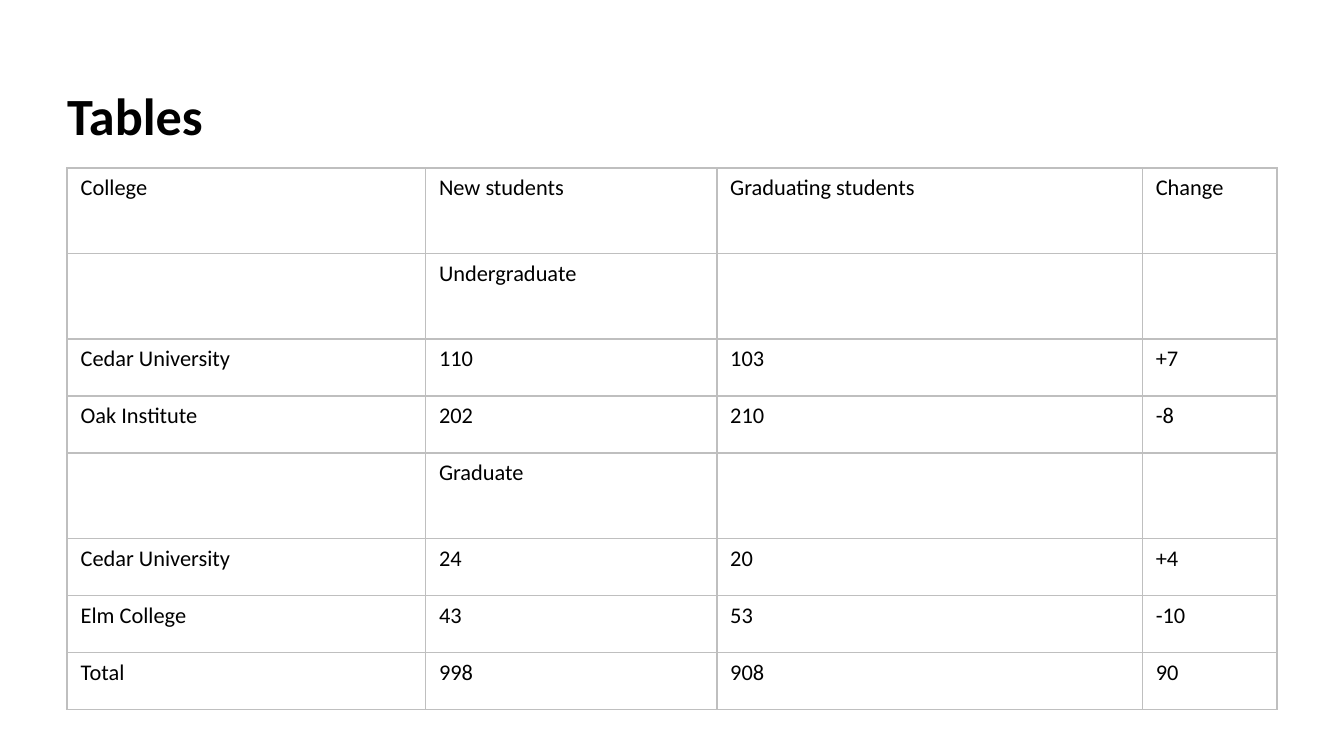
from typing import NamedTuple

from lxml import etree
from pptx import Presentation
from pptx.dml.color import RGBColor
from pptx.enum import text
from pptx.oxml import ns
from pptx.util import Inches, Pt

COLORS = {"ink": "000000", "border": "BFBFBF", "paper": "FFFFFF"}
FONT = "Calibri"
BORDER_WIDTH = Pt(1.02)
LEFT, WIDTH = 0.5, 9
TABLE_TOP, TABLE_HEIGHT = 1.25, 4.03
COLUMN_SHARES = (16, 13, 19, 6)
TALL_SHARE, SHORT_SHARE = 3, 2


class Row(NamedTuple):
    college: str
    new: str
    graduating: str = ""
    change: str = ""


ROWS = [
    Row("College", "New students", "Graduating students", "Change"),
    Row("", "Undergraduate"),
    Row("Cedar University", "110", "103", "+7"),
    Row("Oak Institute", "202", "210", "-8"),
    Row("", "Graduate"),
    Row("Cedar University", "24", "20", "+4"),
    Row("Elm College", "43", "53", "-10"),
    Row("Total", "998", "908", "90"),
]


def split(total: float, shares) -> list[float]:
    """Divide a length in proportion to the shares."""
    return [total * share / sum(shares) for share in shares]


def style_paragraph(para, size: float, bold: bool = False) -> None:
    for font in [para.font] + [span.font for span in para.runs]:
        font.name = FONT
        font.size = Pt(size)
        font.bold = bold
        font.color.rgb = RGBColor.from_string(COLORS["ink"])


def add_borders(cell) -> None:
    properties = cell._tc.get_or_add_tcPr()
    for side in ("a:lnL", "a:lnR", "a:lnT", "a:lnB"):
        line = etree.SubElement(properties, ns.qn(side), w=str(int(BORDER_WIDTH)))
        fill = etree.SubElement(line, ns.qn("a:solidFill"))
        etree.SubElement(fill, ns.qn("a:srgbClr"), val=COLORS["border"])


def add_title(page, title: str) -> None:
    box = page.shapes.add_textbox(Inches(LEFT), Inches(0.31), Inches(WIDTH), Inches(0.78))
    frame = box.text_frame
    frame.word_wrap = True
    frame.vertical_anchor = text.MSO_ANCHOR.BOTTOM
    frame.margin_left = frame.margin_right = frame.margin_top = frame.margin_bottom = 0
    frame.text = title
    style_paragraph(frame.paragraphs[0], 28, bold=True)


def add_student_table(page, rows: list[Row]) -> None:
    """Header and level rows are tall; rows with figures are short."""
    shares = [TALL_SHARE if row is rows[0] or not row.college else SHORT_SHARE for row in rows]
    table = page.shapes.add_table(
        len(rows), len(COLUMN_SHARES),
        Inches(LEFT), Inches(TABLE_TOP), Inches(WIDTH), Inches(TABLE_HEIGHT),
    ).table
    table.first_row = table.horz_banding = False
    for column, width in zip(table.columns, split(WIDTH, COLUMN_SHARES)):
        column.width = Inches(width)
    for table_row, height, row in zip(table.rows, split(TABLE_HEIGHT, shares), rows):
        table_row.height = Inches(height)
        for cell, value in zip(table_row.cells, row):
            cell.text_frame.text = value
            style_paragraph(cell.text_frame.paragraphs[0], 12)
            add_borders(cell)
            cell.fill.background()


def main() -> None:
    deck = Presentation()
    deck.slide_width = Inches(10)
    deck.slide_height = deck.slide_width * 9 // 16
    page = deck.slides.add_slide(deck.slide_layouts[6])
    page.background.fill.solid()
    page.background.fill.fore_color.rgb = RGBColor.from_string(COLORS["paper"])
    add_title(page, "Tables")
    add_student_table(page, ROWS)
    deck.save("out.pptx")


if __name__ == "__main__":
    main()
